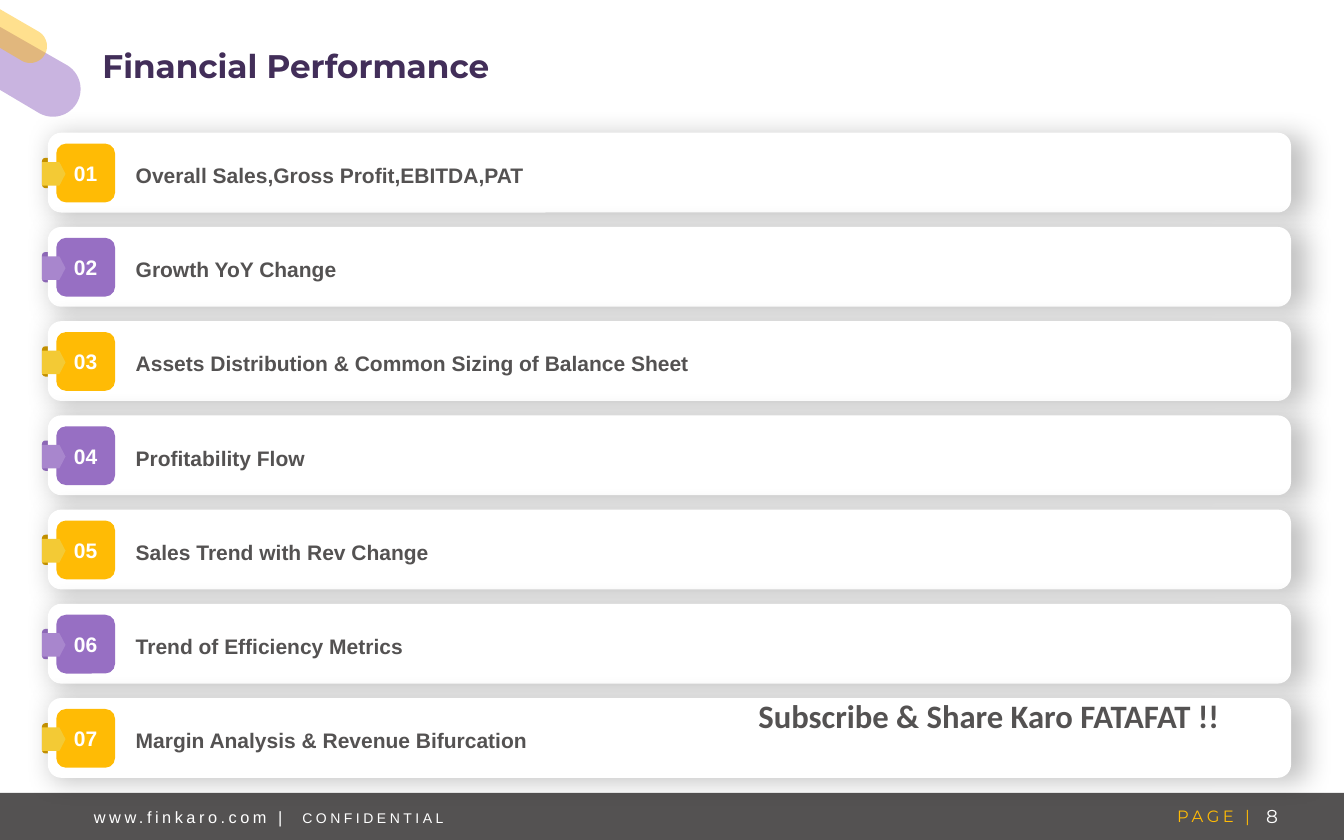
"""Build the Financial Performance agenda slide."""
from math import cos, radians, sin

from lxml import etree
from pptx import Presentation
from pptx.dml.color import RGBColor
from pptx.enum.shapes import MSO_SHAPE as SHAPE
from pptx.enum.text import MSO_ANCHOR as ANCHOR, PP_ALIGN as ALIGN
from pptx.oxml import parse_xml
from pptx.oxml.ns import nsdecls, qn
from pptx.util import Inches, Pt

COLORS = {
    "white": "FFFFFF", "gray": "545252", "title": "422E59",
    "yellow": "FFBB05", "gold": "D09A00", "lemon": "F3CA35",
    "purple": "976FC3", "lilac": "A886CD",
}
SHADOW = (
    f'<a:effectLst {nsdecls("a")}><a:outerShdw blurRad="292100" dist="38100" '
    'dir="2700000" sx="101000" sy="101000" algn="tl" rotWithShape="0">'
    '<a:srgbClr val="000000"><a:alpha val="23000"/></a:srgbClr>'
    '</a:outerShdw></a:effectLst>'
)


def add_shape(kind, x, y, w, h, color, adj=None):
    sp = s.shapes.add_shape(kind, Inches(x), Inches(y), Inches(w), Inches(h))
    sp.shadow.inherit = False
    sp.fill.solid()
    sp.fill.fore_color.rgb = RGBColor.from_string(COLORS[color])
    sp.line.fill.background()
    if adj is not None:
        sp.adjustments[0] = adj
    return sp


def add_run(sp, text, size, font, color, bold=False, align=ALIGN.LEFT,
            anchor=ANCHOR.MIDDLE, spacing=0):
    tf = sp.text_frame
    tf.word_wrap = True
    tf.vertical_anchor = anchor
    p = tf.paragraphs[0]
    p.alignment = align
    r = p.add_run()
    r.text = text
    r.font.size = Pt(size)
    r.font.name = font
    r.font.bold = bold
    r.font.color.rgb = RGBColor.from_string(COLORS[color])
    if spacing:
        r.font._element.set("spc", str(spacing * 100))
    return p


prs = Presentation()
prs.slide_width, prs.slide_height = Inches(16), Inches(10)
s = prs.slides.add_slide(prs.slide_layouts[5])

capsules = [
    (0.63, 1.06, 0.33, 0.32, 1.07, "lilac", 61),
    (0.36, 0.55, 0.2, 0.11, 0.57, "yellow", 45),
]
for cx, cy, radius, top, bottom, color, alpha in capsules:
    cap = [(cx + radius * cos(radians(a)), cy + radius * sin(radians(a)))
           for a in range(120, -61, -5)]
    outline = [(Inches(x), Inches(y)) for x, y in cap + [(0, top)]]
    fb = s.shapes.build_freeform(0, Inches(bottom))
    fb.add_line_segments(outline, close=True)
    sp = fb.convert_to_shape()
    sp.shadow.inherit = False
    sp.line.fill.background()
    sp.fill.solid()
    sp.fill.fore_color.rgb = RGBColor.from_string(COLORS[color])
    clr = sp.fill._xPr.find(qn("a:solidFill"))[0]
    etree.SubElement(clr, qn("a:alpha")).set("val", str(alpha * 1000))

add_shape(SHAPE.RECTANGLE, 0, 9.44, 16, 0.56, "gray")
footer = [
    (12.54, 9.55, 2.44, 0.34, ALIGN.RIGHT, ANCHOR.TOP,
     [("PAGE |", 14, "Montserrat", "yellow", 3)]),
    (14.79, 9.44, 0.71, 0.56, ALIGN.CENTER, ANCHOR.MIDDLE,
     [("8", 16, "Montserrat", "white", 0)]),
    (1.02, 9.46, 6.81, 0.54, ALIGN.LEFT, ANCHOR.MIDDLE,
     [("www.finkaro.com |", 14, "Arial", "white", 3),
      (" ", 14, "Arial", "white", 10),
      ("CONFIDENTIAL", 12, "Arial", "white", 3)]),
]
for x, y, w, h, align, anchor, runs in footer:
    sp = s.shapes.add_textbox(Inches(x), Inches(y), Inches(w), Inches(h))
    for text, size, font, color, spacing in runs:
        add_run(sp, text, size, font, color, align=align, anchor=anchor,
                spacing=spacing)

title = s.shapes.title
title.left, title.top = Inches(1.12), Inches(0)
title.width, title.height = Inches(12.94), Inches(1.5)
p = add_run(title, "Financial Performance", 28, "Montserrat", "title", True)
p.line_spacing = 1.1

topics = [
    "Overall Sales,Gross Profit,EBITDA,PAT",
    "Growth YoY Change",
    "Assets Distribution & Common Sizing of Balance Sheet",
    "Profitability Flow",
    "Sales Trend with Rev Change",
    "Trend of Efficiency Metrics",
    "Margin Analysis & Revenue Bifurcation",
]
palettes = [("gold", "yellow", "lemon"), ("purple", "purple", "lilac")]
first_top, last_top = 1.58, 8.31
step = (last_top - first_top) / (len(topics) - 1)
for i, topic in enumerate(topics):
    y = first_top + i * step
    fold, badge, tab = palettes[i % 2]
    add_shape(SHAPE.ROUNDED_RECTANGLE, 0.5, y + 0.3, 0.34, 0.36, fold, 0.12)

    card = add_shape(SHAPE.ROUNDED_RECTANGLE, 0.57, y, 14.8, 0.95, "white")
    spPr = card._element.spPr
    spPr.replace(spPr.find(qn("a:effectLst")), parse_xml(SHADOW))
    tf = card.text_frame
    tf.margin_left = Inches(1)
    tf.margin_top = tf.margin_right = tf.margin_bottom = 0
    p = add_run(card, topic, 18, "Arial", "gray", True, ALIGN.JUSTIFY)
    p.line_spacing = 1.2
    p.space_after = Pt(6)

    sp = add_shape(SHAPE.ROUNDED_RECTANGLE, 0.67, y + 0.13, 0.7, 0.7, badge)
    add_run(sp, f"{i + 1:02}", 18, "Arial", "white", True, ALIGN.CENTER)
    add_shape(SHAPE.PENTAGON, 0.5, y + 0.35, 0.28, 0.28, tab, 0.26)

sp = s.shapes.add_textbox(Inches(8.93), Inches(8.14), Inches(6.11), Inches(0.63))
p = add_run(sp, "Subscribe & Share Karo FATAFAT !!", 28, "Calibri", "gray", True,
            anchor=ANCHOR.TOP)
p.line_spacing = 1.2

prs.save("out.pptx")
